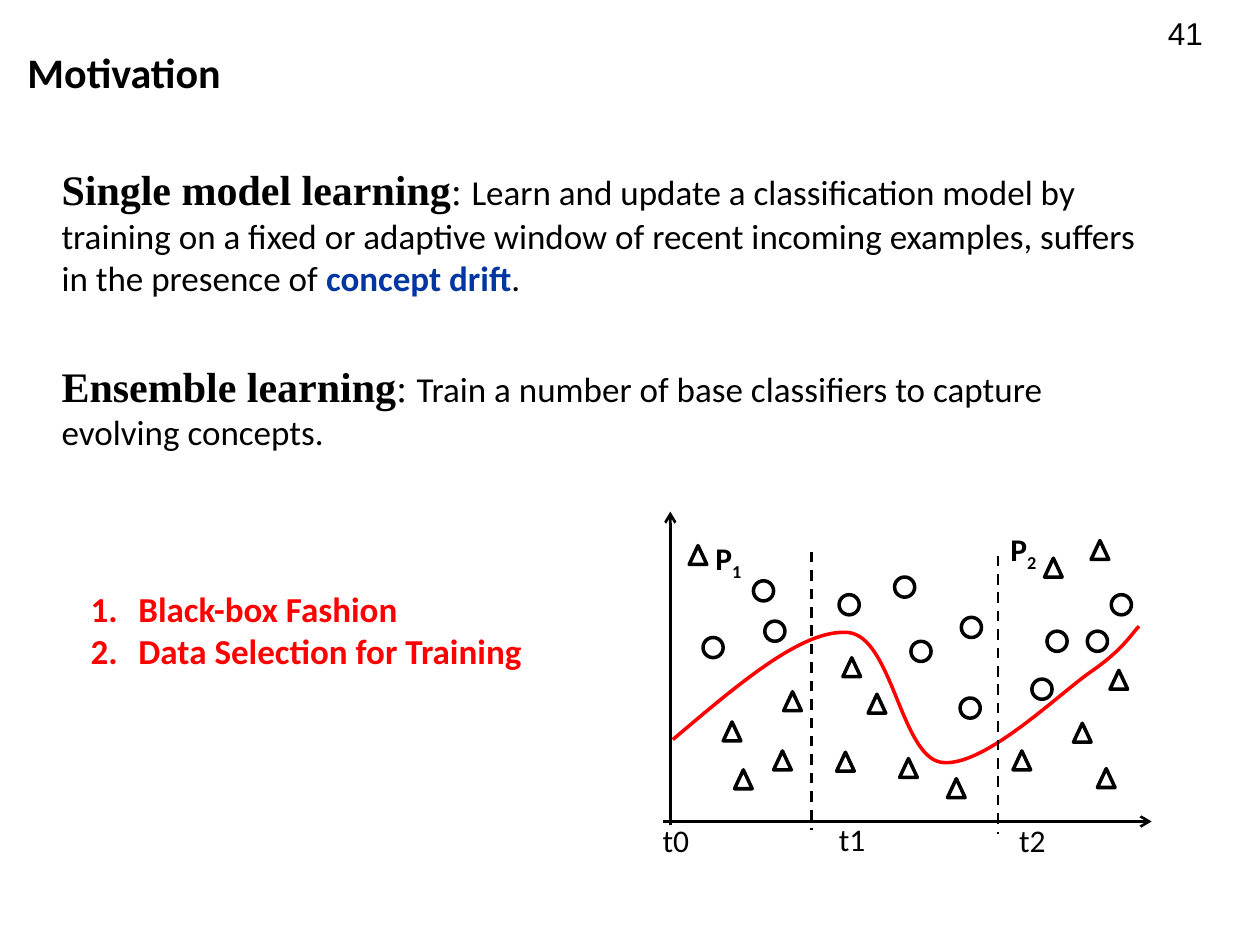
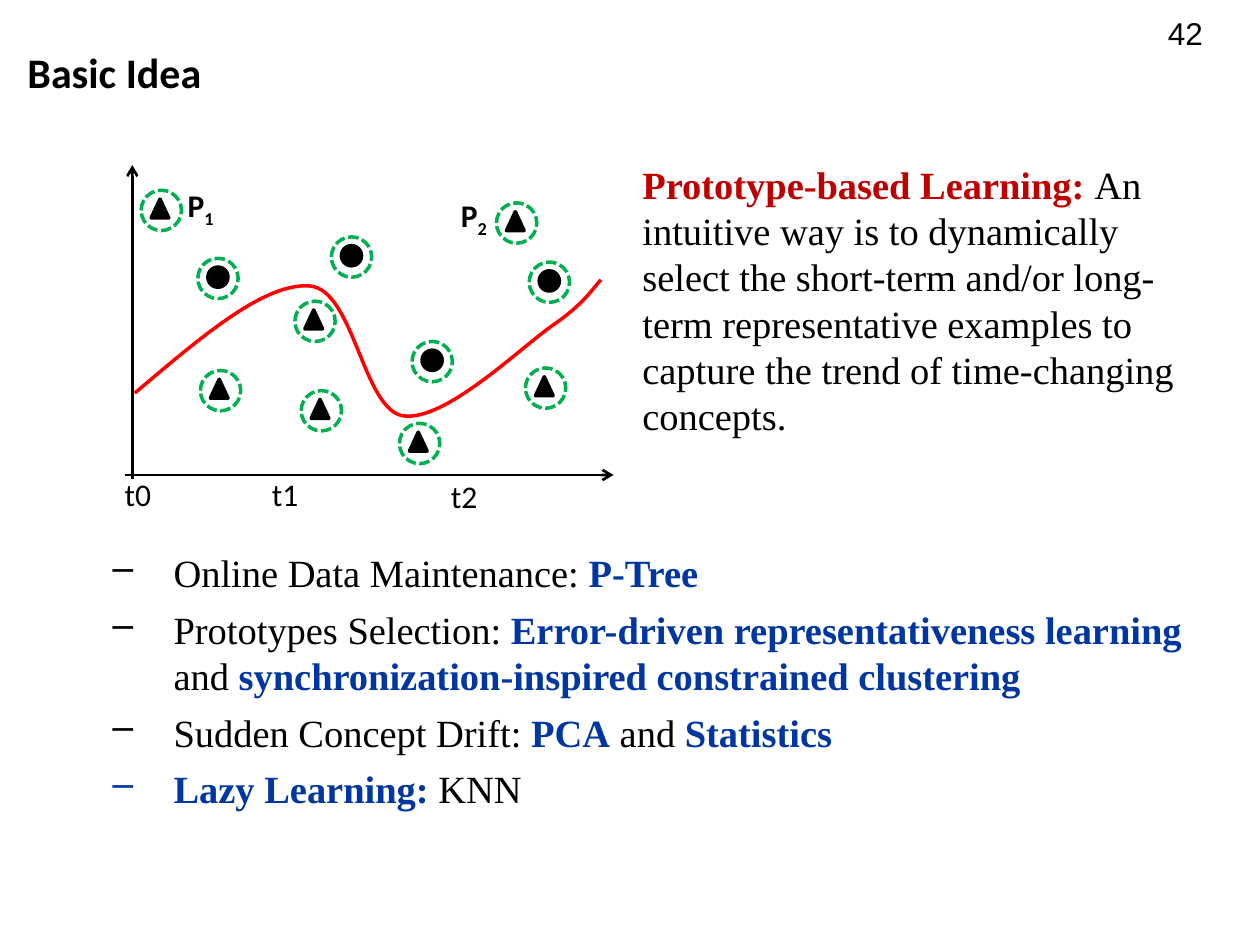
from typing import NamedTuple, Optional, Sequence

from pptx import Presentation
from pptx.dml.color import RGBColor
from pptx.enum.dml import MSO_LINE
from pptx.enum.shapes import MSO_CONNECTOR, MSO_SHAPE as Preset
from pptx.oxml import parse_xml
from pptx.oxml.ns import nsdecls, qn
from pptx.oxml.xmlchemy import OxmlElement
from pptx.util import Pt

PX = 9144  # EMU in one px, 100 px to the inch

BLACK = RGBColor(0x00, 0x00, 0x00)
RED = RGBColor(0xFF, 0x00, 0x00)
DARK_RED = RGBColor(0xC0, 0x00, 0x00)
BLUE = RGBColor(0x00, 0x36, 0xA2)
GREEN = RGBColor(0x00, 0xB0, 0x50)

SANS, SERIF, NUMBER_FONT = "Calibri", "Times New Roman", "Arial"


class Point(NamedTuple):
    x: int
    y: int


class Box(NamedTuple):
    left: int
    top: int
    width: int
    height: int


class Span(NamedTuple):
    text: str
    size: int = 20
    font: str = SANS
    color: RGBColor = BLACK
    bold: bool = False
    subscript: bool = False


class Bullet(NamedTuple):
    tag: str
    attribute: str
    value: str
    indent: int


class Drift(NamedTuple):
    """A drawing of examples over time; origin is the start of the time axis."""
    origin: Point
    times: Sequence[Point]
    concepts: Sequence[Point]
    circles: Sequence[Point]
    triangles: Sequence[Point]
    boundaries: Sequence[Point] = ()
    prototypes: bool = False


NUMBERED = Bullet("a:buAutoNum", "type", "arabicPeriod", 38)
DASHED = Bullet("a:buChar", "char", "‒", 50)

CIRCLE_SIZE, TRIANGLE_SIZE, RING_SIZE = (16, 16), (14, 15), (32, 32)
RING_OFFSET = Point(-8, -7)
BOUNDARY_HEIGHT = 221

# Anchors and handles of the class border, measured from the axis origin
BORDER_START = Point(8, -65)
BORDER_CURVES = [
    (Point(60, -109), Point(111, -153), Point(147, -150)),
    (Point(182, -147), Point(189, -52), Point(221, -47)),
    (Point(254, -42), Point(314, -101), Point(340, -119)),
    (Point(366, -137), Point(372, -149), Point(378, -155)),
]

SINGLE_MODEL_DRIFT = Drift(
    origin=Point(526, 652),
    times=[Point(516, 647), Point(656, 646), Point(799, 647)],
    concepts=[Point(558, 423), Point(792, 416)],
    circles=[Point(558, 506), Point(666, 472), Point(598, 461), Point(607, 493),
             Point(710, 458), Point(762, 554), Point(723, 509), Point(831, 501),
             Point(819, 539), Point(763, 490), Point(863, 501), Point(882, 472)],
    triangles=[Point(574, 573), Point(583, 611), Point(622, 549), Point(669, 522),
               Point(664, 597), Point(614, 596), Point(689, 551), Point(714, 602),
               Point(752, 618), Point(804, 596), Point(852, 574), Point(881, 532),
               Point(871, 610), Point(829, 443), Point(866, 429), Point(547, 433)],
    boundaries=[Point(644, 438), Point(792, 441)],
)

PROTOTYPE_DRIFT = Drift(
    origin=Point(99, 377),
    times=[Point(89, 372), Point(206, 372), Point(348, 374)],
    concepts=[Point(139, 143), Point(356, 151)],
    circles=[Point(165, 212), Point(271, 195), Point(335, 278), Point(428, 215)],
    triangles=[Point(242, 246), Point(247, 317), Point(167, 301), Point(325, 343),
               Point(425, 299), Point(402, 168), Point(120, 158)],
    prototypes=True,
)


def shifted(point: Point, by: Point) -> Point:
    return Point(point.x + by.x, point.y + by.y)


def add_text(slide, box: Box, paragraphs: Sequence[Sequence[Span]],
             bullet: Optional[Bullet] = None, after: int = 0, spacing: float = 1.0):
    frame = slide.shapes.add_textbox(*(side * PX for side in box)).text_frame
    frame.word_wrap = True
    for index, spans in enumerate(paragraphs):
        paragraph = frame.paragraphs[0] if index == 0 else frame.add_paragraph()
        if bullet:
            properties = paragraph._p.get_or_add_pPr()
            properties.set("marL", str(bullet.indent * PX))
            properties.set("indent", str(-bullet.indent * PX))
            mark = OxmlElement(bullet.tag)
            mark.set(bullet.attribute, bullet.value)
            properties.append(mark)
        paragraph.space_after = Pt(after)
        paragraph.line_spacing = spacing
        for span in spans:
            run = paragraph.add_run()
            run.text = span.text
            font = run.font
            font.size, font.name, font.bold = Pt(span.size), span.font, span.bold
            font.color.rgb = span.color
            if span.subscript:
                run._r.get_or_add_rPr().set("baseline", "-25000")


def style_outline(shape, color: RGBColor, filled: bool = False):
    shape.shadow.inherit = False
    if filled:
        shape.fill.solid()
        shape.fill.fore_color.rgb = color
    else:
        shape.fill.background()
    shape.line.color.rgb = color
    shape.line.width = Pt(2)


def add_mark(slide, preset, at: Point, size, color: RGBColor = BLACK, filled=False):
    mark = slide.shapes.add_shape(preset, *(side * PX for side in (*at, *size)))
    style_outline(mark, color, filled)
    return mark


def add_line(slide, start: Point, end: Point, arrow: bool = False):
    """Draw an axis with an arrow, or else a dashed time boundary."""
    line = slide.shapes.add_connector(
        MSO_CONNECTOR.STRAIGHT, *(side * PX for side in (*start, *end)))
    line.line.color.rgb = BLACK
    line.line.width = Pt(1.5)
    properties = line._element.spPr
    if arrow:
        head = OxmlElement("a:tailEnd")
        head.set("type", "arrow")
        properties.find(qn("a:ln")).append(head)
    else:
        line.line.dash_style = MSO_LINE.DASH
    properties.append(OxmlElement("a:effectLst"))


def add_class_border(slide, origin: Point):
    """Outline the anchors, then bend each segment with its two handles."""
    start = shifted(BORDER_START, origin)
    curves = [[shifted(point, origin) for point in curve] for curve in BORDER_CURVES]
    anchors = [start, *(curve[-1] for curve in curves)]
    builder = slide.shapes.build_freeform(*start, scale=PX)
    builder.add_line_segments(anchors[1:], close=False)
    border = builder.convert_to_shape()
    style_outline(border, RED)
    left, top = min(p.x for p in anchors), min(p.y for p in anchors)
    segments = list(border._element.iter(qn("a:lnTo")))
    for segment, curve in zip(segments, curves):
        points = "".join(f'<a:pt x="{p.x - left}" y="{p.y - top}"/>' for p in curve)
        bend = parse_xml(f'<a:cubicBezTo {nsdecls("a")}>{points}</a:cubicBezTo>')
        segment.getparent().replace(segment, bend)


def draw_drift(slide, drift: Drift):
    filled = drift.prototypes
    for at in drift.circles:
        add_mark(slide, Preset.OVAL, at, CIRCLE_SIZE, filled=filled)
    for number, at in enumerate(drift.concepts, 1):
        add_text(slide, Box(*at, 66, 40), [[
            Span("P", 18, bold=True),
            Span(str(number), 18, bold=True, subscript=True)]])
    add_class_border(slide, drift.origin)
    for top in drift.boundaries:
        add_line(slide, top, shifted(top, Point(0, BOUNDARY_HEIGHT)))
    origin = drift.origin
    add_line(slide, origin, shifted(origin, Point(388, 0)), arrow=True)
    add_line(slide, shifted(origin, Point(6, 3)),
             shifted(origin, Point(6, -246)), arrow=True)
    for number, at in enumerate(drift.times):
        add_text(slide, Box(*at, 81, 40), [[Span(f"t{number}", 18)]])
    for at in drift.triangles:
        add_mark(slide, Preset.ISOSCELES_TRIANGLE, at, TRIANGLE_SIZE, filled=filled)
    if drift.prototypes:
        for at in (*drift.circles, *drift.triangles):
            ring = add_mark(slide, Preset.OVAL, shifted(at, RING_OFFSET),
                            RING_SIZE, GREEN)
            ring.line.dash_style = MSO_LINE.SQUARE_DOT


def add_titled_slide(deck, title: str, number: int):
    slide = deck.slides.add_slide(deck.slide_layouts[6])
    add_text(slide, Box(12, 28, 307, 51), [[Span(title, 24, bold=True)]], spacing=1.1)
    add_text(slide, Box(917, 0, 83, 40),
             [[Span(str(number), 18, NUMBER_FONT)]], spacing=1.2)
    return slide


def add_definition(slide, box: Box, term: str, *meaning: Span):
    add_text(slide, box, [[Span(term, 24, SERIF, bold=True),
                           Span(": ", 22, SERIF), *meaning]])


def serif(text: str) -> Span:
    return Span(text, 22, SERIF)


def key(text: str, color: RGBColor = BLUE) -> Span:
    return Span(text, 22, SERIF, color, bold=True)


def build_motivation(deck):
    slide = add_titled_slide(deck, "Motivation", 41)
    add_definition(
        slide, Box(39, 125, 883, 143), "Single model learning",
        Span("Learn and update a classification model by training on a fixed or "
             "adaptive window of recent incoming examples, suffers in the "
             "presence of "),
        Span("concept drift", color=BLUE, bold=True), Span("."))
    add_definition(
        slide, Box(39, 281, 898, 99), "Ensemble learning",
        Span("Train a number of base classifiers to capture evolving concepts."))
    issues = ["Black-box Fashion", "Data Selection for Training"]
    add_text(slide, Box(62, 461, 438, 108),
             [[Span(issue, color=RED, bold=True)] for issue in issues], NUMBERED)
    draw_drift(slide, SINGLE_MODEL_DRIFT)


def build_basic_idea(deck):
    slide = add_titled_slide(deck, "Basic Idea", 42)
    draw_drift(slide, PROTOTYPE_DRIFT)
    add_text(slide, Box(500, 123, 445, 277), [[
        key("Prototype-based Learning: ", DARK_RED),
        serif("An intuitive way is to dynamically select the short-term and/or "
              "long-term representative examples to capture the trend of "
              "time-changing concepts.")]])
    add_text(slide, Box(78, 431, 906, 257), [
        [serif("Online Data Maintenance: "), key("P-Tree")],
        [serif("Prototypes Selection: "),
         key("Error-driven representativeness learning "), serif("and "),
         key("synchronization-inspired constrained clustering")],
        [serif("Sudden Concept Drift: "), key("PCA"), serif(" and "),
         key("Statistics")],
        [key("Lazy Learning: "), serif("KNN")],
    ], DASHED, after=6)


def main():
    deck = Presentation()
    deck.slide_width, deck.slide_height = 1000 * PX, 750 * PX
    build_motivation(deck)
    build_basic_idea(deck)
    deck.save("out.pptx")


if __name__ == "__main__":
    main()
